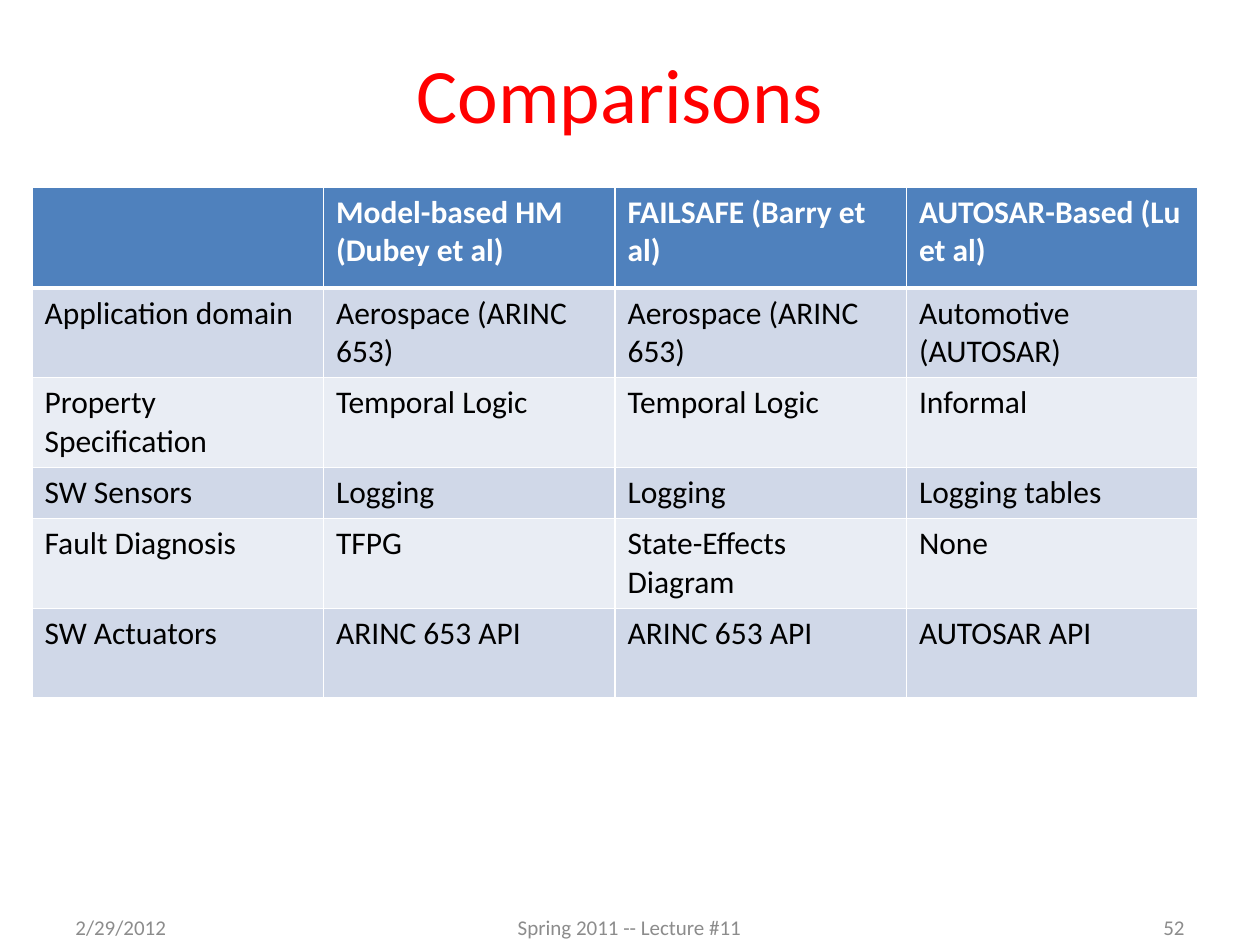
from dataclasses import dataclass

from lxml.etree import SubElement
from pptx import Presentation
from pptx.dml.color import RGBColor as Rgb
from pptx.enum.text import MSO_ANCHOR as Anchor, PP_ALIGN as Align
from pptx.oxml.ns import qn
from pptx.util import Pt

EMU_PER_PX = 914400 / 126


@dataclass(frozen=True)
class Theme:
    font: str = "Calibri"
    title_size: int = 44
    table_size: int = 18
    footer_size: int = 12
    title: str = "FF0000"
    header_fill: str = "4F81BD"
    header_text: str = "FFFFFF"
    body_text: str = "000000"
    bands: tuple = ("D0D8E8", "E9EDF4")
    border: str = "FFFFFF"
    footer: str = "8C8C8C"


THEME = Theme()

COMPARISON = [
    ["", "Model-based HM (Dubey et al)", "FAILSAFE (Barry et al)", "AUTOSAR-Based (Lu et al)"],
    ["Application domain", "Aerospace (ARINC 653)", "Aerospace (ARINC 653)", "Automotive (AUTOSAR)"],
    ["Property Specification", "Temporal Logic", "Temporal Logic", "Informal"],
    ["SW Sensors", "Logging", "Logging", "Logging tables"],
    ["Fault Diagnosis", "TFPG", "State-Effects Diagram", "None"],
    ["SW Actuators", "ARINC 653 API", "ARINC 653 API", "AUTOSAR API"],
]
ROW_HEIGHTS = [101, 89, 90, 51, 90, 89]


def px(length):
    return round(length * EMU_PER_PX)


def write(frame, text, size, color, align=Align.LEFT, bold=False):
    """Put one formatted run in the first paragraph of a frame."""
    para = frame.paragraphs[0]
    para.alignment = align
    para.font.size = Pt(size)
    if not text:
        return
    span = para.add_run()
    span.text = text
    span.font.name = THEME.font
    span.font.size = Pt(size)
    span.font.bold = bold
    span.font.color.rgb = Rgb.from_string(color)


def set_borders(cell, top, bottom):
    """Draw the four cell edges; they must precede the fill in the XML."""
    props = cell._tc.get_or_add_tcPr()
    widths = {"a:lnL": 1, "a:lnR": 1, "a:lnT": top, "a:lnB": bottom}
    for index, (tag, width) in enumerate(widths.items()):
        line = SubElement(props, qn(tag), w=str(Pt(width)))
        fill = SubElement(line, qn("a:solidFill"))
        SubElement(fill, qn("a:srgbClr"), val=THEME.border)
        props.insert(index, line)


def add_title(page, box, text):
    title = page.shapes.title
    title.left, title.top, title.width, title.height = map(px, box)
    title.text_frame.vertical_anchor = Anchor.MIDDLE
    write(title.text_frame, text, THEME.title_size, THEME.title, Align.CENTER)


def add_comparison(page, box, rows, heights):
    left, top, width, height = map(px, box)
    columns = len(rows[0])
    table = page.shapes.add_table(len(rows), columns, left, top, width, height).table
    for column in table.columns:
        column.width = width // columns
    for r, (texts, row_height) in enumerate(zip(rows, heights)):
        table.rows[r].height = px(row_height)
        header = r == 0
        fill = THEME.header_fill if header else THEME.bands[(r - 1) % 2]
        color = THEME.header_text if header else THEME.body_text
        for c, text in enumerate(texts):
            cell = table.cell(r, c)
            cell.fill.solid()
            cell.fill.fore_color.rgb = Rgb.from_string(fill)
            # A thick rule separates the header from the body
            set_borders(cell, top=3 if r == 1 else 1, bottom=3 if header else 1)
            write(cell.text_frame, text, THEME.table_size, color, bold=header)


def add_footer(page, box, date, lecture, number):
    left, top, width, height = box
    side, middle = 294, 399
    parts = [
        (date, left, side, Align.LEFT),
        (lecture, left + (width - middle) // 2, middle, Align.CENTER),
        (number, left + width - side, side, Align.RIGHT),
    ]
    for text, part_left, part_width, align in parts:
        label = page.shapes.add_textbox(*map(px, (part_left, top, part_width, height)))
        label.text_frame.word_wrap = True
        label.text_frame.vertical_anchor = Anchor.MIDDLE
        write(label.text_frame, text, THEME.footer_size, THEME.footer, align)


def main():
    deck = Presentation()
    deck.slide_width, deck.slide_height = px(1260), px(945)
    page = deck.slides.add_slide(deck.slide_layouts[5])  # title only

    add_title(page, (33, 14, 1192, 157), "Comparisons ")
    add_comparison(page, (32, 187, 1166, sum(ROW_HEIGHTS)), COMPARISON, ROW_HEIGHTS)
    add_footer(page, (63, 902, 1134, 50), "2/29/2012", "Spring 2011 -- Lecture #11", "52")

    deck.save("out.pptx")


if __name__ == "__main__":
    main()
